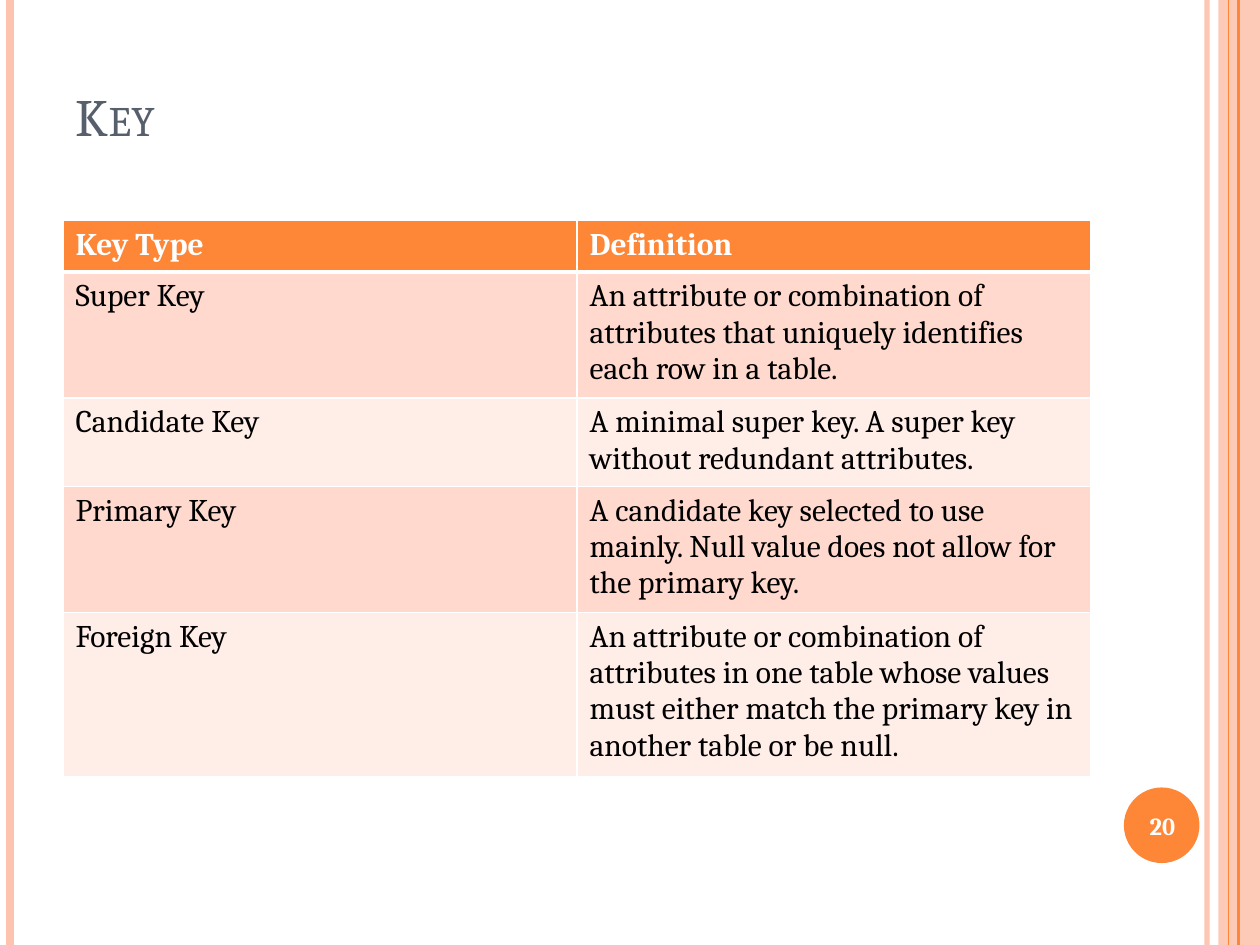
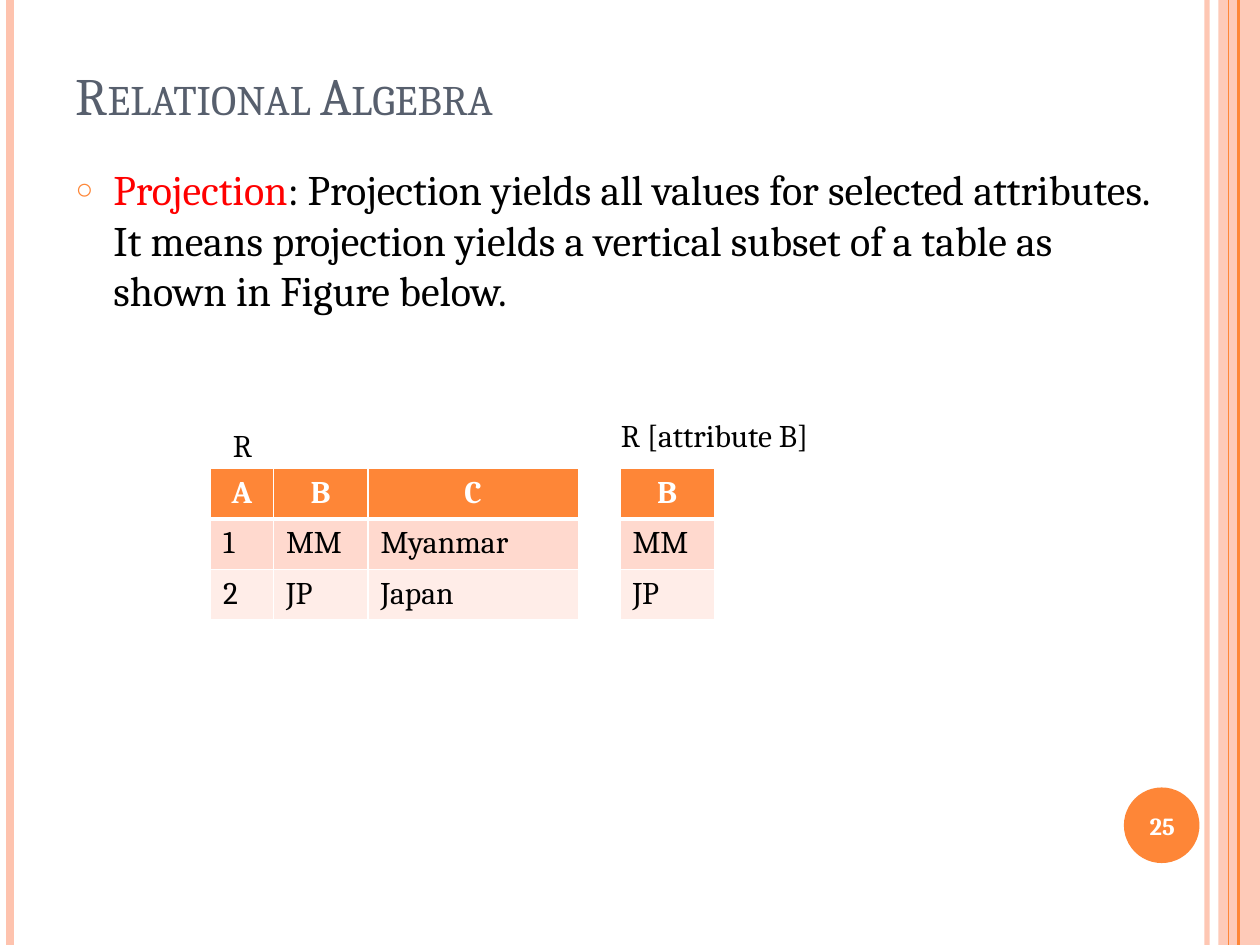
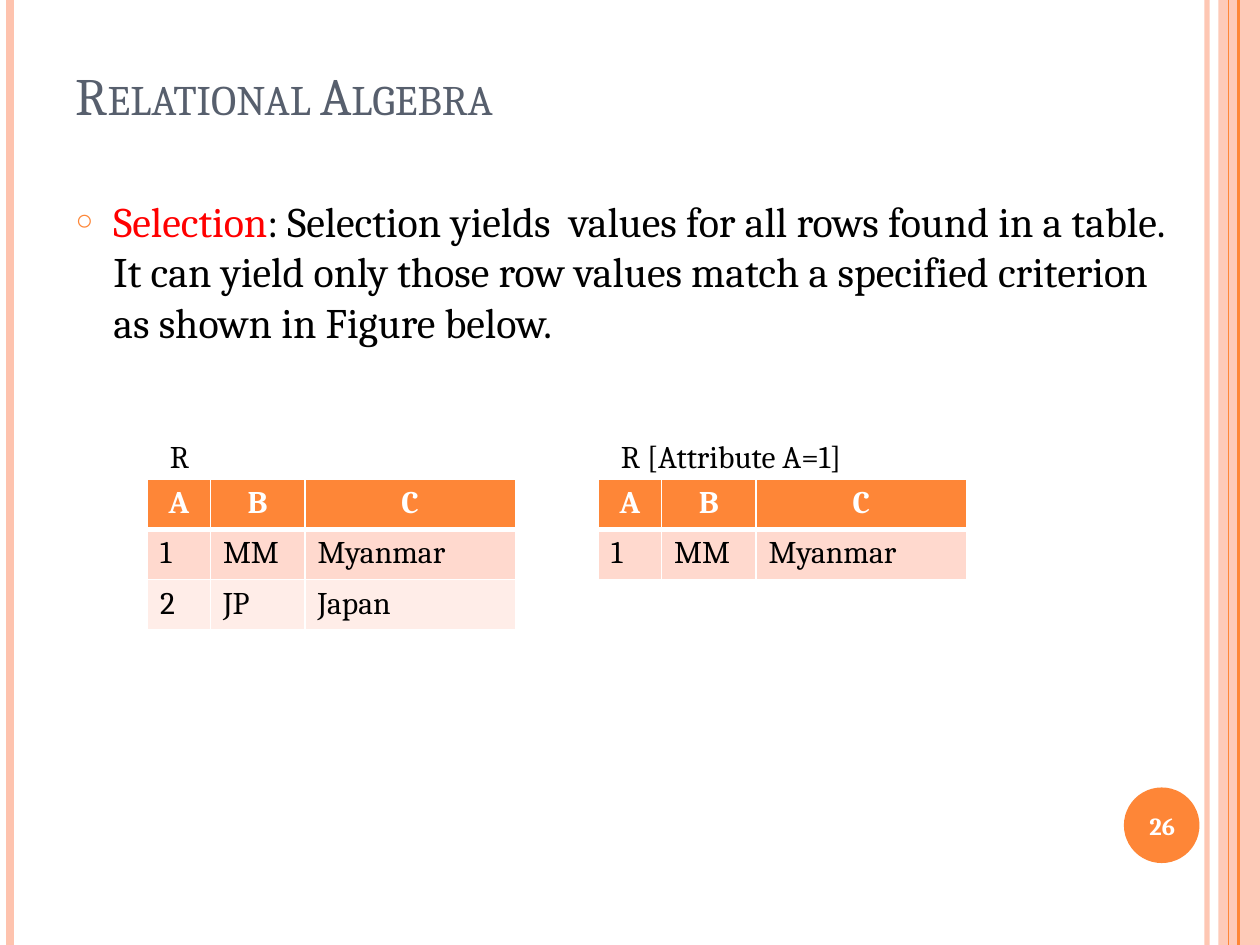
from lxml import etree
from pptx import Presentation
from pptx.dml.color import RGBColor
from pptx.enum.shapes import MSO_CONNECTOR as Connector, MSO_SHAPE as Preset
from pptx.enum.text import MSO_ANCHOR as Anchor, MSO_AUTO_SIZE as AutoSize, PP_ALIGN as Align
from pptx.oxml.ns import qn
from pptx.util import Inches, Pt

FONT = "Cambria"
ORANGE, PEACH, SLATE = "FE8637", "FEC3AE", "575F6D"
WHITE, BLACK, RED = "FFFFFF", "000000", "FF0000"
BANDS = ("FFD9CE", "FFEDE8")
WIDTH, HEIGHT = 10, 7.5
TITLE_AND_BODY, TITLE_ONLY = 1, 5

STRIPES = [
    (9.58, PEACH, 3, 93),
    (0.08, PEACH, 4.5, 100),
    (9.83, ORANGE, 1.5, 100),
    (9.75, ORANGE, 0.75, 100),
]

KEY_TYPES = [
    ("Key Type", "Definition"),
    ("Super Key", "An attribute or combination of attributes that uniquely identifies each row in a table."),
    ("Candidate Key", "A minimal super key. A super key without redundant attributes."),
    ("Primary Key", "A candidate key selected to use mainly. Null value does not allow for the primary key."),
    ("Foreign Key", "An attribute or combination of attributes in one table whose values must either "
                    "match the primary key in another table or be null."),
]
RELATION = [("A", "B", "C"), ("1", "MM", "Myanmar"), ("2", "JP", "Japan")]
PROJECTED = [(row[1],) for row in RELATION]
SELECTED = RELATION[:2]
RELATION_COLUMNS = (0.5, 0.75, 1.67)

ALGEBRA_TITLE = ("Relational Algebra", (0.5, 0.42, 8.17, 0.63))
SLIDES = [
    {
        "number": "20",
        "title": ("Key", (0.5, 0.5, 8.17, 0.72)),
        "tables": [(KEY_TYPES, 0.5, 1.75, (4.08, 4.08), 0.41, Align.LEFT)],
    },
    {
        "number": "25",
        "title": ALGEBRA_TITLE,
        "body": ("Projection",
                 ": Projection yields all values for selected attributes. It means projection yields "
                 "a vertical subset of a table as shown in Figure below.",
                 (0.5, 1.25, 8.92, 5.83)),
        "tables": [(RELATION, 1.67, 3.72, RELATION_COLUMNS, 0.39, Align.CENTER),
                   (PROJECTED, 4.92, 3.72, (0.75,), 0.4, Align.CENTER)],
        "labels": [("R", (1.75, 3.33, 0.67, 0.4)),
                   ("R [attribute B]", (4.83, 3.25, 2.17, 0.4))],
    },
    {
        "number": "26",
        "title": ALGEBRA_TITLE,
        "body": ("Selection",
                 ": Selection yields  values for all rows found in a table. It can yield only those "
                 "row values match a specified criterion as shown in Figure below.",
                 (0.5, 1.5, 9, 5.58)),
        "tables": [(RELATION, 1.17, 3.8, RELATION_COLUMNS, 0.39, Align.CENTER),
                   (SELECTED, 4.75, 3.8, RELATION_COLUMNS, 0.4, Align.CENTER)],
        "labels": [("R", (1.25, 3.42, 0.67, 0.4)),
                   ("R [Attribute A=1]", (4.83, 3.42, 2.67, 0.4))],
    },
]


def rgb(color):
    return RGBColor.from_string(color)


def add_child(parent, tag, **attributes):
    return etree.SubElement(parent, qn(tag), attributes)


def set_alpha(element, percent):
    color = next(element.iter(qn("a:srgbClr")))
    add_child(color, "a:alpha", val=str(percent * 1000))


def add_span(para, text, size, color, bold=False):
    span = para.add_run()
    span.text = text
    span.font.name = FONT
    span.font.size = Pt(size)
    span.font.bold = bold
    span.font.color.rgb = rgb(color)
    return span


def place(shape, area):
    shape.left, shape.top, shape.width, shape.height = map(Inches, area)
    shape.text_frame.word_wrap = True
    shape.text_frame.auto_size = AutoSize.NONE


def add_filled(page, preset, area, color):
    shape = page.shapes.add_shape(preset, *map(Inches, area))
    shape.shadow.inherit = False
    shape.fill.solid()
    shape.fill.fore_color.rgb = rgb(color)
    shape.line.fill.background()
    return shape


def add_stripe(page, x, color, weight, alpha):
    stripe = page.shapes.add_connector(Connector.STRAIGHT, Inches(x), 0, Inches(x), Inches(HEIGHT))
    stripe.line.color.rgb = rgb(color)
    stripe.line.width = Pt(weight)
    properties = stripe.element.find(qn("p:spPr"))
    set_alpha(properties, alpha)
    add_child(properties, "a:effectLst")
    return stripe


def decorate_master(deck, page):
    edge = add_filled(page, Preset.RECTANGLE, (9.67, 0, 0.33, HEIGHT), PEACH)
    set_alpha(edge.element.find(qn("p:spPr")), 87)
    stripes = [add_stripe(page, *stripe) for stripe in STRIPES]
    badge = add_filled(page, Preset.OVAL, (8.92, 6.25, 0.6, 0.6), ORANGE)
    for shape in [edge, *stripes, badge]:
        deck.slide_master.shapes.element.append(shape.element)


def write_title(page, text, area):
    title = page.shapes.title
    place(title, area)
    title.text_frame.vertical_anchor = Anchor.BOTTOM
    para = title.text_frame.paragraphs[0]
    para.alignment = Align.LEFT
    span = add_span(para, text, 30, SLATE)
    span.font._element.set("cap", "small")


def write_body(page, term, explanation, area):
    body = page.placeholders[1]
    place(body, area)
    para = body.text_frame.paragraphs[0]
    para.space_before = Pt(6)
    properties = para._p.get_or_add_pPr()
    properties.set("marL", str(Inches(0.3)))
    properties.set("indent", str(Inches(-0.3)))
    add_child(add_child(properties, "a:buClr"), "a:srgbClr", val=ORANGE)
    add_child(properties, "a:buSzPct", val="70000")
    add_child(properties, "a:buChar", char="○")
    add_span(para, term, 24, RED)
    add_span(para, explanation, 24, BLACK)


def add_text(page, text, area, size=18, color=BLACK, bold=False, align=Align.LEFT, anchor=Anchor.TOP):
    box = page.shapes.add_textbox(*map(Inches, area))
    box.text_frame.word_wrap = True
    box.text_frame.vertical_anchor = anchor
    para = box.text_frame.paragraphs[0]
    para.alignment = align
    add_span(para, text, size, color, bold)


def set_borders(cell, row_index):
    top = 3 if row_index == 1 else 1
    bottom = 3 if row_index == 0 else 1
    properties = cell._tc.get_or_add_tcPr()
    for index, (side, weight) in enumerate(zip("LRTB", (1, 1, top, bottom))):
        line = etree.Element(qn("a:ln" + side), w=str(Pt(weight)))
        add_child(add_child(line, "a:solidFill"), "a:srgbClr", val=WHITE)
        properties.insert(index, line)


def add_grid(page, rows, left, top, widths, row_height, header_align):
    area = (left, top, sum(widths), row_height * len(rows))
    table = page.shapes.add_table(len(rows), len(widths), *map(Inches, area)).table
    for column, width in zip(table.columns, widths):
        column.width = Inches(width)
    for row_index, row in enumerate(rows):
        header = row_index == 0
        for column_index, text in enumerate(row):
            cell = table.cell(row_index, column_index)
            cell.fill.solid()
            cell.fill.fore_color.rgb = rgb(ORANGE if header else BANDS[(row_index - 1) % 2])
            set_borders(cell, row_index)
            para = cell.text_frame.paragraphs[0]
            para.alignment = header_align if header else Align.LEFT
            add_span(para, text, 18, WHITE if header else BLACK, header)


def main():
    deck = Presentation()
    deck.slide_width, deck.slide_height = Inches(WIDTH), Inches(HEIGHT)
    for index, content in enumerate(SLIDES):
        layout = TITLE_AND_BODY if "body" in content else TITLE_ONLY
        page = deck.slides.add_slide(deck.slide_layouts[layout])
        if index == 0:
            decorate_master(deck, page)
        write_title(page, *content["title"])
        if "body" in content:
            write_body(page, *content["body"])
        add_text(page, content["number"], (8.89, 6.27, 0.67, 0.57), 14, WHITE, True,
                 Align.CENTER, Anchor.MIDDLE)
        for grid in content["tables"]:
            add_grid(page, *grid)
        for text, area in content.get("labels", []):
            add_text(page, text, area)
    deck.save("out.pptx")


if __name__ == "__main__":
    main()
